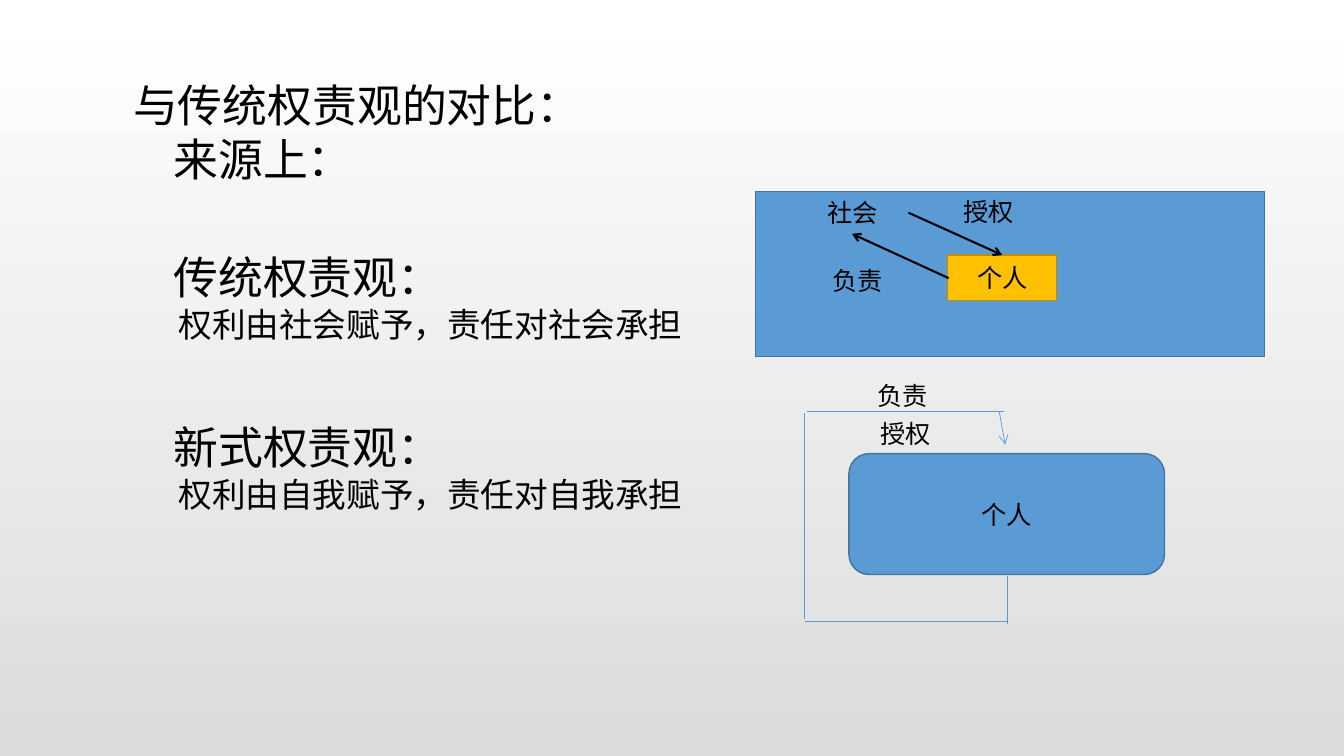
"""Build a slide comparing the traditional and the new view of power and responsibility."""
from lxml.etree import SubElement
from pptx import Presentation
from pptx.dml.color import RGBColor
from pptx.enum.shapes import MSO_CONNECTOR as Connector, MSO_SHAPE as Shape
from pptx.enum.text import MSO_ANCHOR as Anchor, MSO_AUTO_SIZE as AutoSize, PP_ALIGN as Align
from pptx.oxml.ns import qn
from pptx.util import Inches, Pt

COLORS = {
    "text": "000000",
    "blue": "5B9BD5",
    "blue_edge": "43739E",
    "gold": "FFC000",
    "gold_edge": "BD8E00",
    "page_top": "FFFFFF",
    "page_bottom": "DCDCDC",
}


def color(name):
    return RGBColor.from_string(COLORS[name])


def write(box, lines, align, anchor):
    """Fill a shape with (text, size, indent in inches, space before in points) lines."""
    frame = box.text_frame
    frame_format = {"word_wrap": True, "auto_size": AutoSize.NONE, "vertical_anchor": anchor,
                    "margin_left": Inches(0.1), "margin_right": Inches(0.1),
                    "margin_top": Inches(0.05), "margin_bottom": Inches(0.05)}
    for name, value in frame_format.items():
        setattr(frame, name, value)
    for index, (text, size, indent, before) in enumerate(lines):
        para = frame.add_paragraph() if index else frame.paragraphs[0]
        for name, value in {"alignment": align, "space_before": Pt(before)}.items():
            setattr(para, name, value)
        properties = para._p.get_or_add_pPr()
        properties.set("marL", str(Inches(indent)))
        properties.set("indent", "0")
        SubElement(properties, qn("a:buNone"))
        span = para.add_run()
        span.text = text
        for name, value in {"name": "Arial", "size": Pt(size)}.items():
            setattr(span.font, name, value)
        span.font.color.rgb = color("text")


deck = Presentation()
deck.slide_width, deck.slide_height = Inches(13.33), Inches(7.5)
page = deck.slides.add_slide(deck.slide_layouts[1])

backdrop = page.background.fill
backdrop.gradient()
backdrop.gradient_angle = 270
for stop, name in zip(backdrop.gradient_stops, ("page_top", "page_bottom")):
    stop.color.rgb = color(name)

title_lines = [("与传统权责观的对比：", 32, 0, 0), ("来源上：", 32, 0.4, 0)]
body_lines = [
    ("传统权责观：", 32, 0.4, 0),
    ("权利由社会赋予，责任对社会承担", 24, 0.45, 0),
    ("新式权责观：", 32, 0.4, 54),
    ("权利由自我赋予，责任对自我承担", 24, 0.45, 0),
]
placeholders = [
    (page.shapes.title, title_lines, 0.72, 10.87, 1.18),
    (page.placeholders[1], body_lines, 2.43, 6, 2.75),
]
for box, lines, top, width, height in placeholders:
    place = {"left": 1.22, "top": top, "width": width, "height": height}
    for name, value in place.items():
        setattr(box, name, Inches(value))
    write(box, lines, Align.LEFT, Anchor.TOP)

blocks = [
    (Shape.RECTANGLE, 7.49, 1.9, 5.05, 1.64, "blue", ""),
    (Shape.RECTANGLE, 9.4, 2.53, 1.08, 0.45, "gold", "个人"),
    (Shape.ROUNDED_RECTANGLE, 8.42, 4.5, 3.13, 1.2, "blue", "个人"),
]
for kind, left, top, width, height, fill, text in blocks:
    block = page.shapes.add_shape(kind, Inches(left), Inches(top), Inches(width), Inches(height))
    block.shadow.inherit = False
    block.fill.solid()
    block.fill.fore_color.rgb = color(fill)
    block.line.color.rgb = color(fill + "_edge")
    block.line.width = Pt(1)
    if text:
        write(block, [(text, 18, 0, 0)], Align.CENTER, Anchor.MIDDLE)

labels = [
    ("社会", 7.49, 1.91, 1.93, Align.CENTER),
    ("授权", 9.46, 1.9, 0.83, Align.LEFT),
    ("负责", 8.16, 2.58, 0.78, Align.LEFT),
    ("授权", 8.47, 4.1, 1.02, Align.CENTER),
    ("负责", 8.44, 3.72, 1.02, Align.CENTER),
]
for text, left, top, width, align in labels:
    label = page.shapes.add_textbox(Inches(left), Inches(top), Inches(width), Inches(0.4))
    write(label, [(text, 18, 0, 0)], align, Anchor.TOP)

links = [
    (9.01, 2.11, 9.94, 2.53, "text", 1.5, True),
    (9.41, 2.76, 8.45, 2.32, "text", 1.5, True),
    (9.99, 5.71, 9.99, 6.19, "blue", 0.5, False),
    (9.99, 6.16, 7.98, 6.16, "blue", 0.5, False),
    (7.98, 6.14, 7.98, 4.1, "blue", 0.5, False),
    (8, 4.08, 9.96, 4.08, "blue", 0.5, False),
    (9.91, 4.08, 9.97, 4.41, "blue", 0.5, True),
]
for *ends, stroke, weight, has_arrow in links:
    link = page.shapes.add_connector(Connector.STRAIGHT, *map(Inches, ends))
    link.line.color.rgb = color(stroke)
    link.line.width = Pt(weight)
    if has_arrow:
        SubElement(link.line._get_or_add_ln(), qn("a:tailEnd"), type="arrow")
    SubElement(link._element.spPr, qn("a:effectLst"))

deck.save("out.pptx")
